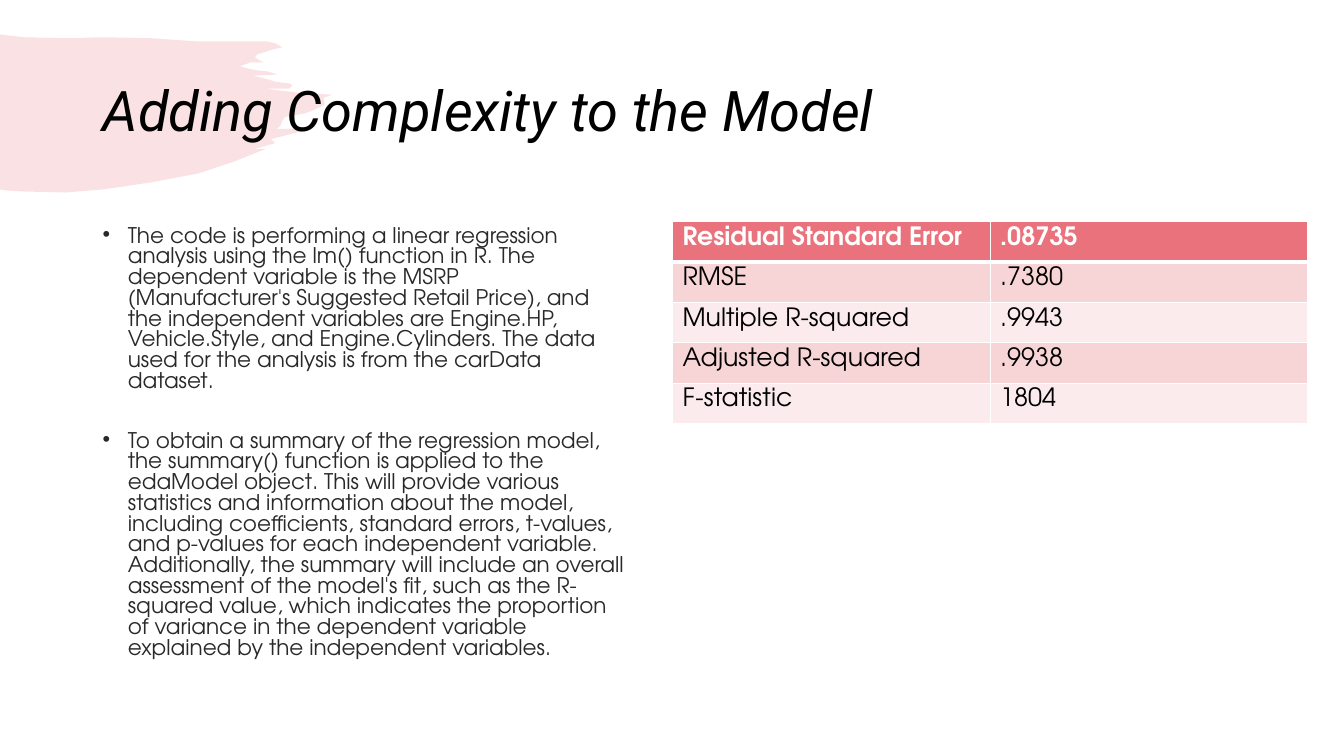
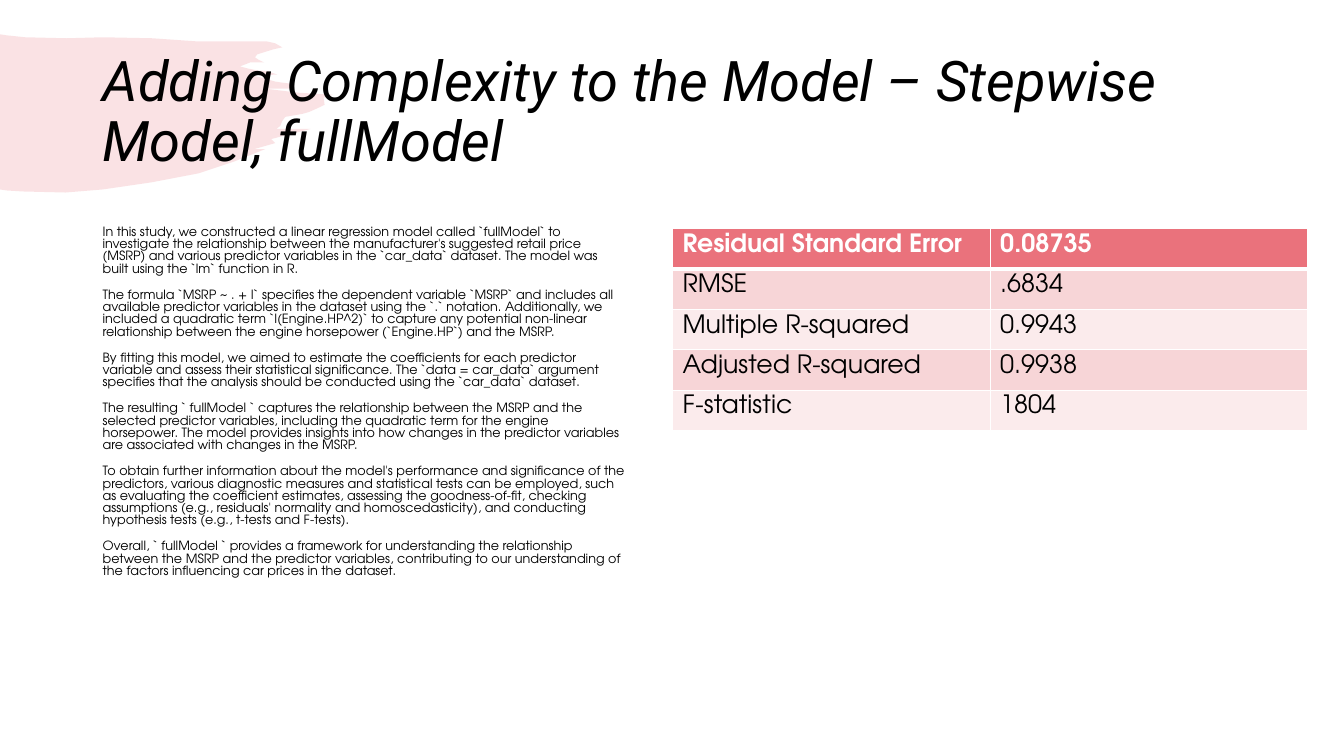
from lxml.etree import SubElement
from pptx import Presentation
from pptx.dml.color import RGBColor
from pptx.enum.text import MSO_ANCHOR
from pptx.oxml.ns import qn
from pptx.util import Inches, Pt

ROSE = RGBColor(0xEA, 0x72, 0x7C)
PINK = RGBColor(0xF7, 0xD5, 0xD7)
PALE = RGBColor(0xFB, 0xEB, 0xEC)
CHARCOAL = RGBColor(0x29, 0x29, 0x29)
BLACK = RGBColor(0, 0, 0)
WHITE = RGBColor(255, 255, 255)
TITLE_FONT, BODY_FONT = "Roboto", "TeX Gyre Adventor"

LEFT = 0.92
TITLE_BOX = (LEFT, 0.4, 11.5, 1.45)
BODY_BOX = (LEFT, 2.2, 5.4, 4.55)
TABLE_LEFT, COLUMN_WIDTH = 6.67, 3.15
ROW_HEIGHTS = (0.4, 0.4, 0.36, 0.36, 0.36)
ROW_LABELS = ("Residual Standard Error", "RMSE", "Multiple R-squared",
              "Adjusted R-squared", "F-statistic")

BRUSH_OUTLINE = [
    (0, 0.34), (0.06, 0.35), (0.25, 0.37), (0.66, 0.38), (1.02, 0.37),
    (1.51, 0.38), (1.94, 0.41), (2.48, 0.41), (2.64, 0.41), (2.73, 0.43),
    (2.8, 0.47), (2.71, 0.49), (2.55, 0.54), (2.53, 0.57), (2.56, 0.59),
    (2.62, 0.62), (2.48, 0.62), (2.38, 0.66), (2.46, 0.68), (2.56, 0.7),
    (2.66, 0.71), (2.75, 0.74), (2.51, 0.75), (2.63, 0.78), (2.73, 0.81),
    (2.8, 0.82), (2.88, 0.83), (2.9, 0.85), (2.87, 0.88), (2.84, 0.88),
    (2.63, 0.88), (2.96, 0.92), (3.3, 0.94), (3.21, 0.97), (3.22, 1.04),
    (3.18, 1.06), (3.07, 1.11), (3, 1.13), (2.83, 1.16), (2.8, 1.2),
    (2.78, 1.25), (2.74, 1.28), (3.08, 1.28), (2.69, 1.38), (2.73, 1.42),
    (2.52, 1.48), (2.63, 1.48), (2.33, 1.6), (1.97, 1.72), (1.5, 1.81),
    (1.02, 1.88), (0.65, 1.91), (0.23, 1.9), (0.07, 1.89), (0, 1.88),
]

SLIDES = [
    {
        "title": "Adding Complexity to the Model",
        "body": [
            "The code is performing a linear regression analysis using the lm() function in R. The dependent variable is the MSRP (Manufacturer's Suggested Retail Price), and the independent variables are Engine.HP, Vehicle.Style, and Engine.Cylinders. The data used for the analysis is from the carData dataset.",
            "To obtain a summary of the regression model, the summary() function is applied to the edaModel object. This will provide various statistics and information about the model, including coefficients, standard errors, t-values, and p-values for each independent variable. Additionally, the summary will include an overall assessment of the model's fit, such as the R-squared value, which indicates the proportion of variance in the dependent variable explained by the independent variables.",
        ],
        "body_format": {"size": 15.4, "color": CHARCOAL, "gap": 28, "bullet": True},
        "table_top": 2.2,
        "values": (".08735", ".7380", ".9943", ".9938", "1804"),
    },
    {
        "title": "Adding Complexity to the Model – Stepwise Model, fullModel",
        "body": [
            "In this study, we constructed a linear regression model called `fullModel` to investigate the relationship between the manufacturer's suggested retail price (MSRP) and various predictor variables in the `car_data` dataset. The model was built using the `lm` function in R.",
            "The formula `MSRP ~ . + I` specifies the dependent variable `MSRP` and includes all available predictor variables in the dataset using the `.` notation. Additionally, we included a quadratic term `I(Engine.HP^2)` to capture any potential non-linear relationship between the engine horsepower (`Engine.HP`) and the MSRP.",
            "By fitting this model, we aimed to estimate the coefficients for each predictor variable and assess their statistical significance. The `data = car_data` argument specifies that the analysis should be conducted using the `car_data` dataset.",
            "The resulting ` fullModel ` captures the relationship between the MSRP and the selected predictor variables, including the quadratic term for the engine horsepower. The model provides insights into how changes in the predictor variables are associated with changes in the MSRP.",
            "To obtain further information about the model's performance and significance of the predictors, various diagnostic measures and statistical tests can be employed, such as evaluating the coefficient estimates, assessing the goodness-of-fit, checking assumptions (e.g., residuals' normality and homoscedasticity), and conducting hypothesis tests (e.g., t-tests and F-tests).",
            "Overall, ` fullModel ` provides a framework for understanding the relationship between the MSRP and the predictor variables, contributing to our understanding of the factors influencing car prices in the dataset.",
        ],
        "body_format": {"size": 9.1, "color": BLACK, "gap": 10},
        "table_top": 2.27,
        "values": ("0.08735", ".6834", "0.9943", "0.9938", "1804"),
    },
]


def write_text(frame, paragraphs, *, size, color, font=BODY_FONT, bold=False,
               italic=False, spacing=None, gap=0, bullet=False):
    frame.word_wrap = True
    for index, text in enumerate(paragraphs):
        paragraph = frame.paragraphs[0] if index == 0 else frame.add_paragraph()
        if spacing:
            paragraph.line_spacing = spacing
        if index and gap:
            paragraph.space_before = Pt(gap)
        if bullet:
            properties = paragraph._p.get_or_add_pPr()
            properties.set("marL", str(Inches(0.25)))
            properties.set("indent", str(-Inches(0.25)))
            SubElement(properties, qn("a:buFont")).set("typeface", "Arial")
            SubElement(properties, qn("a:buChar")).set("char", "•")
        run = paragraph.add_run()
        run.text = text
        run.font.name = font
        run.font.size = Pt(size)
        run.font.bold = bold
        run.font.italic = italic
        run.font.color.rgb = color


def add_text_box(slide, box, paragraphs, anchor=MSO_ANCHOR.TOP, **text_format):
    frame = slide.shapes.add_textbox(*map(Inches, box)).text_frame
    frame.vertical_anchor = anchor
    write_text(frame, paragraphs, **text_format)


def add_brush_stroke(slide):
    points = [(Inches(x), Inches(y)) for x, y in BRUSH_OUTLINE]
    builder = slide.shapes.build_freeform(*points[0])
    builder.add_line_segments(points[1:], close=True)
    shape = builder.convert_to_shape()
    shape.shadow.inherit = False
    shape.line.fill.background()
    shape.fill.solid()
    shape.fill.fore_color.rgb = ROSE
    color = shape._element.spPr.find(qn("a:solidFill"))[0]
    SubElement(color, qn("a:alpha")).set("val", "20000")


def set_borders(cell, top_width, bottom_width):
    """Draw white borders; they must come before the fill in the cell's XML."""
    properties = cell._tc.get_or_add_tcPr()
    for side, width in (("L", 1), ("R", 1), ("T", top_width), ("B", bottom_width)):
        line = SubElement(properties, qn(f"a:ln{side}"), w=str(Pt(width)))
        fill = SubElement(line, qn("a:solidFill"))
        SubElement(fill, qn("a:srgbClr")).set("val", str(WHITE))


def add_statistics_table(slide, top, values):
    rows = list(zip(ROW_LABELS, values))
    table = slide.shapes.add_table(
        len(rows), 2, Inches(TABLE_LEFT), Inches(top),
        Inches(2 * COLUMN_WIDTH), Inches(sum(ROW_HEIGHTS))).table
    for column in table.columns:
        column.width = Inches(COLUMN_WIDTH)
    for row_index, texts in enumerate(rows):
        table.rows[row_index].height = Inches(ROW_HEIGHTS[row_index])
        header = row_index == 0
        for column_index, text in enumerate(texts):
            cell = table.cell(row_index, column_index)
            # The thick rule under the header is shared with the row below it.
            set_borders(cell, 3 if row_index == 1 else 1, 3 if header else 1)
            cell.fill.solid()
            cell.fill.fore_color.rgb = ROSE if header else (PALE, PINK)[row_index % 2]
            write_text(cell.text_frame, [text], size=18, bold=header,
                       color=WHITE if header else BLACK)


def main():
    presentation = Presentation()
    presentation.slide_width = Inches(13.33)
    presentation.slide_height = Inches(7.5)
    for content in SLIDES:
        slide = presentation.slides.add_slide(presentation.slide_layouts[6])
        add_brush_stroke(slide)
        add_text_box(slide, TITLE_BOX, [content["title"]], MSO_ANCHOR.MIDDLE,
                     size=40, color=BLACK, font=TITLE_FONT, italic=True, spacing=0.9)
        add_text_box(slide, BODY_BOX, content["body"], spacing=0.8,
                     **content["body_format"])
        add_statistics_table(slide, content["table_top"], content["values"])
    presentation.save("out.pptx")


if __name__ == "__main__":
    main()
